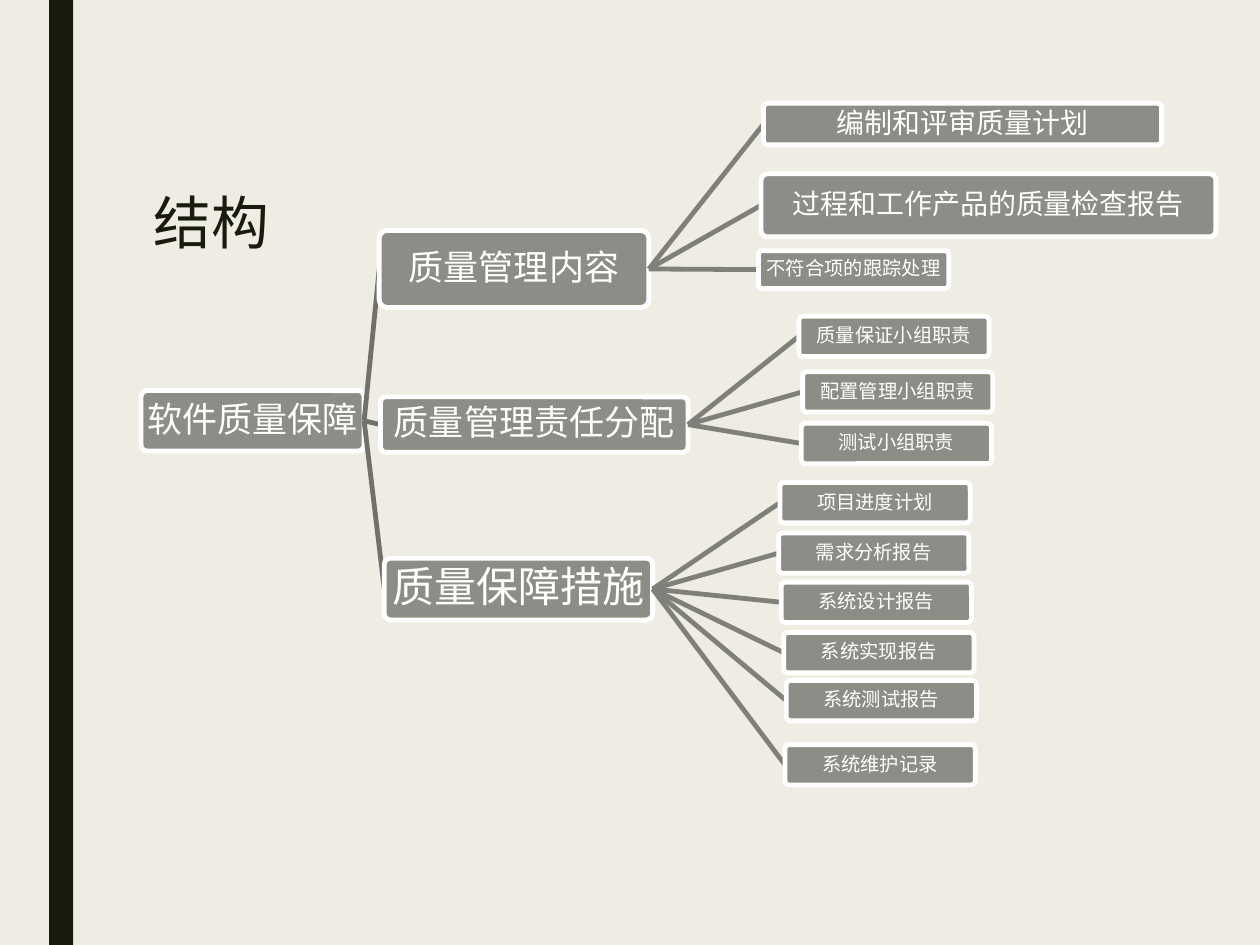
from collections import namedtuple

from lxml.etree import SubElement
from pptx import Presentation
from pptx.dml.color import RGBColor
from pptx.enum.shapes import MSO_CONNECTOR as Connector, MSO_SHAPE as Shape
from pptx.enum.text import MSO_ANCHOR as Anchor, PP_ALIGN as Align
from pptx.oxml.ns import qn
from pptx.util import Inches, Pt

Box = namedtuple("Box", "left top width height")
Leaf = namedtuple("Leaf", "text dx dy width height size", defaults=(1.51, 0.32, 11))

COLORS = {
    "background": "EFEDE3",
    "dark": "191B0E",
    "node": "8C8D86",
    "white": "FFFFFF",
    "trunk": "70716B",
    "twig": "7F807A",
}
FONT = "Karla"
LINE_WIDTH = Pt(2.75)

ROOT = ("软件质量保障", Box(0, 1.27, 1.77, 0.48))
BRANCHES = [
    ("质量管理内容", Box(1.89, 0, 2.14, 0.61), 20, [
        Leaf("编制和评审质量计划", 3.05, -1.01, 3.16, 0.33, 16),
        Leaf("过程和工作产品的质量检查报告", 3.03, -0.45, 3.61, 0.5, 16),
        Leaf("不符合项的跟踪处理", 3.01, 0.16, height=0.3),
    ]),
    ("质量管理责任分配", Box(1.9, 1.32, 2.44, 0.44), 20, [
        Leaf("质量保证小组职责", 3.32, -0.64),
        Leaf("配置管理小组职责", 3.35, -0.2),
        Leaf("测试小组职责", 3.34, 0.21),
    ]),
    ("质量保障措施", Box(1.93, 2.6, 2.13, 0.49), 24, [
        Leaf("项目进度计划", 3.14, -0.6),
        Leaf("需求分析报告", 3.13, -0.2),
        Leaf("系统设计报告", 3.15, 0.19),
        Leaf("系统实现报告", 3.17, 0.59),
        Leaf("系统测试报告", 3.19, 0.97),
        Leaf("系统维护记录", 3.18, 1.48),
    ]),
]


def color(name):
    """Return the palette colour of this name."""
    return RGBColor.from_string(COLORS[name])


def inches(box):
    """Turn a box into lengths."""
    return [Inches(value) for value in box]


def write_text(frame, text, *, size, ink, align=Align.LEFT, anchor=Anchor.TOP,
               spacing=0.9, margins=(0.1, 0.05)):
    """Write one formatted paragraph into a text frame."""
    frame.word_wrap = True
    frame.vertical_anchor = anchor
    frame.margin_left = frame.margin_right = Inches(margins[0])
    frame.margin_top = frame.margin_bottom = Inches(margins[1])
    para = frame.paragraphs[0]
    para.alignment = align
    para.line_spacing = spacing
    span = para.add_run()
    span.text = text
    span.font.name = FONT
    span.font.size = Pt(size)
    span.font.color.rgb = color(ink)


def add_node(slide, box, text, size):
    """Draw one rounded, outlined node with its centred label."""
    node = slide.shapes.add_shape(Shape.ROUNDED_RECTANGLE, *inches(box))
    node.adjustments[0] = 0.1
    node.shadow.inherit = False
    node.fill.solid()
    node.fill.fore_color.rgb = color("node")
    node.line.color.rgb = color("white")
    node.line.width = LINE_WIDTH
    write_text(node.text_frame, text, size=size, ink="white", align=Align.CENTER,
               anchor=Anchor.MIDDLE, margins=(0.01, 0.01))


def link(slide, parent, child, ink):
    """Join the right middle of a parent box to the left middle of a child box."""
    line = slide.shapes.add_connector(
        Connector.STRAIGHT,
        Inches(parent.left + parent.width), Inches(parent.top + parent.height / 2),
        Inches(child.left), Inches(child.top + child.height / 2))
    line.line.color.rgb = color(ink)
    line.line.width = LINE_WIDTH
    SubElement(line._element.spPr, qn("a:effectLst"))


def add_branch(slide, box, text, size, leaves):
    """Draw a branch node in its box and fan its leaves out to the right."""
    add_node(slide, box, text, size)
    for leaf in leaves:
        leaf_box = Box(box.left + leaf.dx, box.top + leaf.dy, leaf.width, leaf.height)
        link(slide, box, leaf_box, "twig")
        add_node(slide, leaf_box, leaf.text, leaf.size)


def add_tree(slide, box):
    """Draw the root and its branches from the corner of the box."""
    def place(part):
        return part._replace(left=box.left + part.left, top=box.top + part.top)

    root_text, root_part = ROOT
    root = place(root_part)
    add_node(slide, root, root_text, 20)
    for text, part, size, leaves in BRANCHES:
        branch = place(part)
        link(slide, root, branch, "trunk")
        add_branch(slide, branch, text, size, leaves)


def add_side_bar(slide, box):
    """Draw the dark vertical bar."""
    bar = slide.shapes.add_shape(Shape.RECTANGLE, *inches(box))
    bar.shadow.inherit = False
    bar.fill.solid()
    bar.fill.fore_color.rgb = color("dark")
    bar.line.fill.background()


def add_title(slide, box, text):
    """Write the slide title."""
    title = slide.shapes.add_textbox(*inches(box))
    write_text(title.text_frame, text, size=33, ink="dark", spacing=0.89)


def main():
    """Build the deck and save it."""
    deck = Presentation()
    deck.slide_width, deck.slide_height = Inches(10), Inches(7.5)
    slide = deck.slides.add_slide(deck.slide_layouts[6])
    slide.background.fill.solid()
    slide.background.fill.fore_color.rgb = color("background")
    add_side_bar(slide, Box(0.39, 0, 0.19, 7.5))
    add_title(slide, Box(1.12, 1.5, 7.88, 0.69), "结构")
    add_tree(slide, Box(1.12, 1.83, 8.53, 4.4))
    deck.save("out.pptx")


if __name__ == "__main__":
    main()
